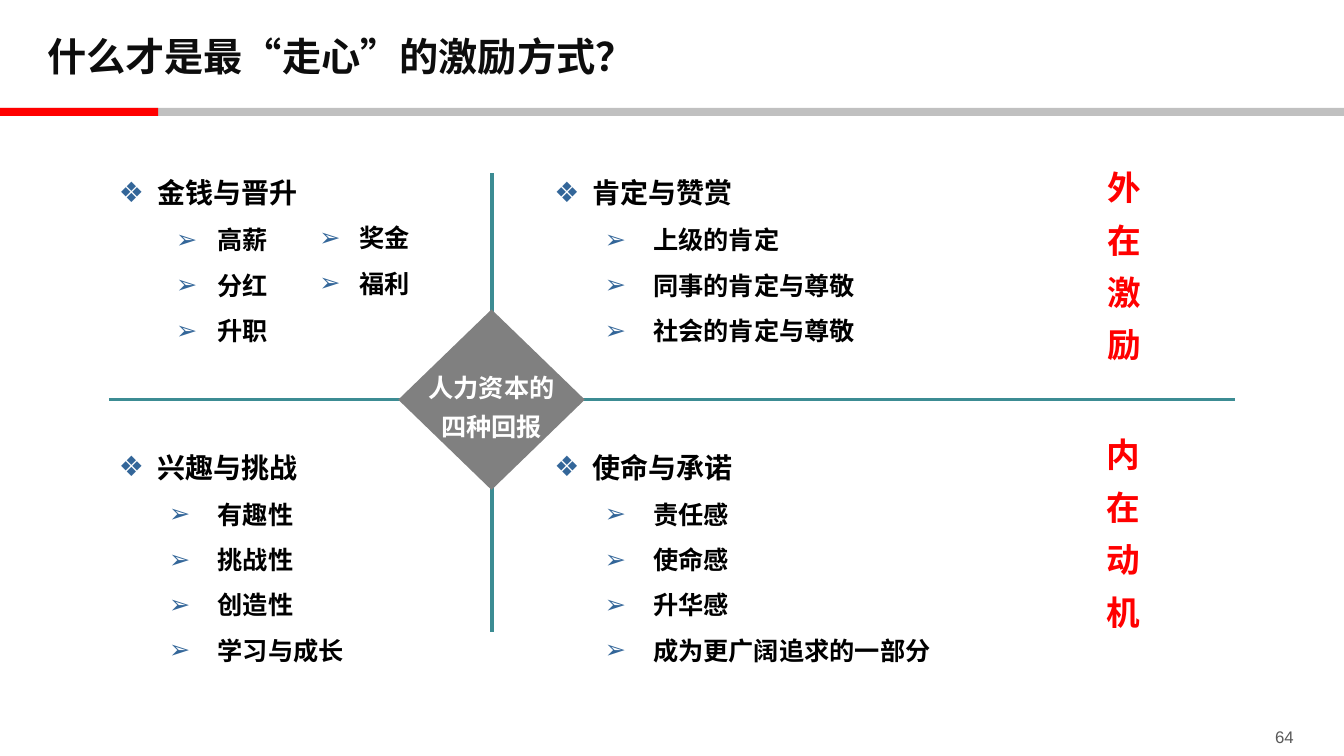
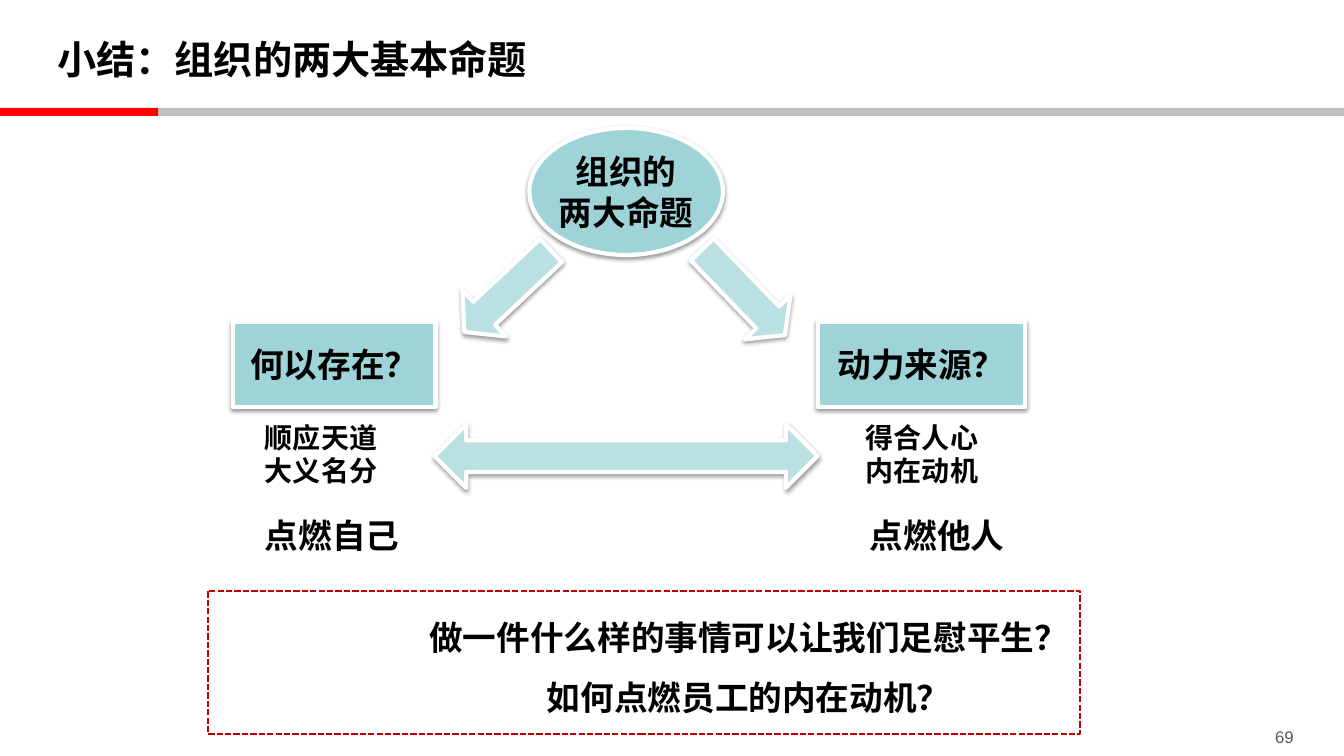
from dataclasses import dataclass

from lxml import etree
from pptx import Presentation
from pptx.dml.color import RGBColor
from pptx.enum.dml import MSO_LINE
from pptx.enum.shapes import MSO_CONNECTOR, MSO_SHAPE as SHAPE
from pptx.enum.text import MSO_ANCHOR as ANCHOR, PP_ALIGN as ALIGN
from pptx.oxml.ns import qn
from pptx.util import Inches, Pt


@dataclass(frozen=True)
class Theme:
    """Colours, fonts and type sizes shared by the slides."""
    sans: str = "Arial"
    cjk: str = "Noto Sans CJK SC"
    black: str = "000000"
    title_ink: str = "0D0D0D"
    white: str = "FFFFFF"
    red: str = "FF0000"
    dark_red: str = "C00000"
    band: str = "C0C0C0"
    number: str = "595959"
    bullet: str = "336699"
    axis: str = "3C8C93"
    diamond: str = "808080"
    node: str = "9ED3D7"
    arrow: str = "BBE0E3"
    title_size: int = 28
    large: int = 24
    heading: int = 20
    body: int = 18
    small: int = 12


T = Theme()


def rgb(value):
    """Turn a hex string into a colour."""
    return RGBColor.from_string(value)


def sub(parent, tag, **attrs):
    """Append a drawing element with attributes."""
    el = etree.SubElement(parent, qn(tag))
    for key, value in attrs.items():
        el.set(key, str(value))
    return el


def add_run(p, text, size, color=T.black, font=T.cjk, bold=True):
    """Add one run with its font for both scripts."""
    r = p.add_run()
    r.text = text
    f = r.font
    f.size, f.bold, f.name = Pt(size), bold, font
    f.color.rgb = rgb(color)
    sub(f._element, "a:ea", typeface=T.cjk)


def fill_text(tf, lines, size, color=T.black, align=ALIGN.LEFT, spacings=(1,), **run):
    """Write lines as paragraphs, cycling through the line spacings."""
    for i, line in enumerate(lines):
        p = tf.paragraphs[0] if i == 0 else tf.add_paragraph()
        p.alignment = align
        p.line_spacing = float(spacings[i % len(spacings)])
        add_run(p, line, size, color, **run)


def add_box(parent, box, wrap=True, anchor=ANCHOR.TOP):
    """Add an empty text box and return its text frame."""
    tf = parent.shapes.add_textbox(*map(Inches, box)).text_frame
    tf.word_wrap, tf.vertical_anchor = wrap, anchor
    return tf


def add_form(parent, kind, box, fill=None):
    """Add a plain preset shape without line or shadow."""
    sp = parent.shapes.add_shape(kind, *map(Inches, box))
    sp.shadow.inherit = False
    sp.line.fill.background()
    if fill:
        sp.fill.solid()
        sp.fill.fore_color.rgb = rgb(fill)
    else:
        sp.fill.background()
    return sp


def add_raised(slide, kind, box, fill, lines=()):
    """Add a white-edged shape with a soft shadow and optional text."""
    sp = add_form(slide, kind, box, fill)
    sp.line.color.rgb, sp.line.width = rgb(T.white), Pt(3)
    effects = sp._element.spPr.find(qn("a:effectLst"))
    shadow = sub(effects, "a:outerShdw", blurRad=Pt(3.1), dist=Pt(1.6),
                 dir=5400000, rotWithShape=0)
    sub(sub(shadow, "a:srgbClr", val=T.black), "a:alpha", val=38000)
    if lines:
        tf = sp.text_frame
        tf.word_wrap, tf.vertical_anchor = False, ANCHOR.MIDDLE
        fill_text(tf, lines, T.large, align=ALIGN.CENTER)
    return sp


def add_axis(slide, start, end):
    """Draw one straight axis line."""
    c = slide.shapes.add_connector(MSO_CONNECTOR.STRAIGHT, *map(Inches, start + end))
    c.line.color.rgb, c.line.width = rgb(T.axis), Pt(2.25)
    sub(c._element.spPr, "a:effectLst")


def add_bullet(tf, text, mark, size, indent, hang, level=0):
    """Add one bulleted paragraph."""
    first = not tf.paragraphs[0].runs
    p = tf.paragraphs[0] if first else tf.add_paragraph()
    p.level, p.line_spacing = level, 1.5
    pPr = p._p.get_or_add_pPr()
    pPr.set("marL", str(Inches(indent)))
    pPr.set("indent", str(-Inches(hang)))
    sub(sub(pPr, "a:buClr"), "a:srgbClr", val=T.bullet)
    sub(pPr, "a:buFont", typeface=T.sans)
    sub(pPr, "a:buChar", char=mark)
    add_run(p, text, size)


def add_quadrant(slide, box, heading, items, hang=0.48):
    """Write a quadrant's heading and its items."""
    tf = add_box(slide, box)
    add_bullet(tf, heading, "❖", T.heading, 0.38, 0.38)
    for item in items:
        add_bullet(tf, item, "➢", T.body, 0.98, hang, 1)


def new_slide(prs, title, box, number, color=T.black, font=T.cjk):
    """Start a slide with its title, band and number."""
    slide = prs.slides.add_slide(prs.slide_layouts[6])
    for width, fill in ((13.33, T.band), (1.57, T.red)):
        add_form(slide, SHAPE.RECTANGLE, (0, 1.07, width, 0.08), fill)
    fill_text(add_box(slide, (12.13, 7.16, 0.8, 0.28)), [number], T.small, T.number,
              ALIGN.RIGHT, font=T.sans, bold=False)
    fill_text(add_box(slide, box, anchor=ANCHOR.MIDDLE), [title], T.title_size,
              color, font=font)
    return slide


def returns_slide(prs):
    """Build the slide of four kinds of return."""
    slide = new_slide(prs, "什么才是最“走心”的激励方式？", (0.37, 0.1, 9.88, 0.91), "64",
                      T.title_ink, T.sans)
    add_axis(slide, (1.08, 3.96), (12.25, 3.96))
    add_axis(slide, (4.88, 1.72), (4.88, 6.27))
    sp = add_form(slide, SHAPE.DIAMOND, (3.95, 3.07, 1.85, 1.79), T.diamond)
    tf = sp.text_frame
    tf.margin_left = tf.margin_right = tf.margin_top = tf.margin_bottom = 0
    tf.word_wrap, tf.vertical_anchor = False, ANCHOR.MIDDLE
    fill_text(tf, ["人力资本的", "四种回报"], T.body, T.white, ALIGN.CENTER, (1.5, 1.3))

    left, right, top, bottom = 1.08, 5.4, 1.53, 4.25
    add_quadrant(slide, (left, top, 2.67, 1.97), "金钱与晋升", ["高薪", "分红", "升职"], 0.41)
    add_quadrant(slide, (right, top, 3.65, 1.56), "肯定与赞赏",
                 ["上级的肯定", "同事的肯定与尊敬", "社会的肯定与尊敬"])
    add_quadrant(slide, (left, bottom, 3.65, 1.56), "兴趣与挑战",
                 ["有趣性", "挑战性", "创造性", "学习与成长"])
    add_quadrant(slide, (right, bottom, 4.14, 1.56), "使命与承诺",
                 ["责任感", "使命感", "升华感", "成为更广阔追求的一部分"])
    tf = add_box(slide, (3.07, 2.01, 1.4, 1.46))
    for item in ("奖金", "福利"):
        add_bullet(tf, item, "➢", T.body, 0.4, 0.4, 1)
    for label, x, y in (("外在激励", 10.87, 1.49), ("内在动机", 10.86, 4.14)):
        fill_text(add_box(slide, (x, y, 0.57, 2.13)), [label], T.large, T.red,
                  ALIGN.CENTER, (1.3,))


def add_proposition(slide, box, question, notes, notes_x, call, call_x):
    """Place a question box with its notes and call below."""
    x, y, w, h = box
    add_raised(slide, SHAPE.RECTANGLE, box, T.node, [question])
    fill_text(add_box(slide, (notes_x, y + 0.93, 1.33, 0.77), False), notes, T.heading)
    fill_text(add_box(slide, (call_x, y + 1.87, 1.56, 0.5), False), [call], T.large)


def add_closing(slide, box, lines):
    """Group the closing questions with their dashed frame."""
    x, y, w, h = box
    group = slide.shapes.add_group_shape()
    tf = add_box(group, (x + 0.79, y + 0.01, w, 1.31))
    fill_text(tf, lines, T.large, align=ALIGN.CENTER, spacings=(1.5,))
    for p in tf.paragraphs:
        p.level = 1
        p._p.get_or_add_pPr().set("marL", str(Inches(0.5)))
        p._p.get_or_add_pPr().set("indent", "0")
    frame = add_form(group, SHAPE.RECTANGLE, box)
    frame.line.color.rgb, frame.line.width = rgb(T.dark_red), Pt(1.5)
    frame.line.dash_style = MSO_LINE.SQUARE_DOT


def summary_slide(prs):
    """Build the summary of the two propositions."""
    slide = new_slide(prs, "小结：组织的两大基本命题", (0.47, 0.13, 9.66, 0.91), "69")
    add_raised(slide, SHAPE.OVAL, (5.25, 1.27, 1.92, 1.26), T.node, ["组织的", "两大命题"])
    for x, y, angle, head in ((7.06, 2.31, 316, 0.39), (4.72, 2.3, 46.8, 0.43)):
        sp = add_raised(slide, SHAPE.DOWN_ARROW, (x, y, 0.63, 1.18), T.arrow)
        sp.rotation = angle
        sp.adjustments[1] = head
    add_proposition(slide, (8.11, 3.19, 2.06, 0.85), "动力来源？",
                    ["得合人心", "内在动机"], 8.49, "点燃他人", 8.53)
    add_proposition(slide, (2.31, 3.19, 2.01, 0.85), "何以存在？",
                    ["顺应天道", "大义名分"], 2.53, "点燃自己", 2.53)
    add_raised(slide, SHAPE.LEFT_RIGHT_ARROW, (4.31, 4.21, 3.8, 0.63), T.arrow)
    add_closing(slide, (2.06, 5.86, 8.65, 1.42),
                ["做一件什么样的事情可以让我们足慰平生？", "如何点燃员工的内在动机？"])


def main():
    """Build and save the presentation."""
    prs = Presentation()
    prs.slide_width, prs.slide_height = Inches(13.33), Inches(7.5)
    returns_slide(prs)
    summary_slide(prs)
    prs.save("out.pptx")


if __name__ == "__main__":
    main()
